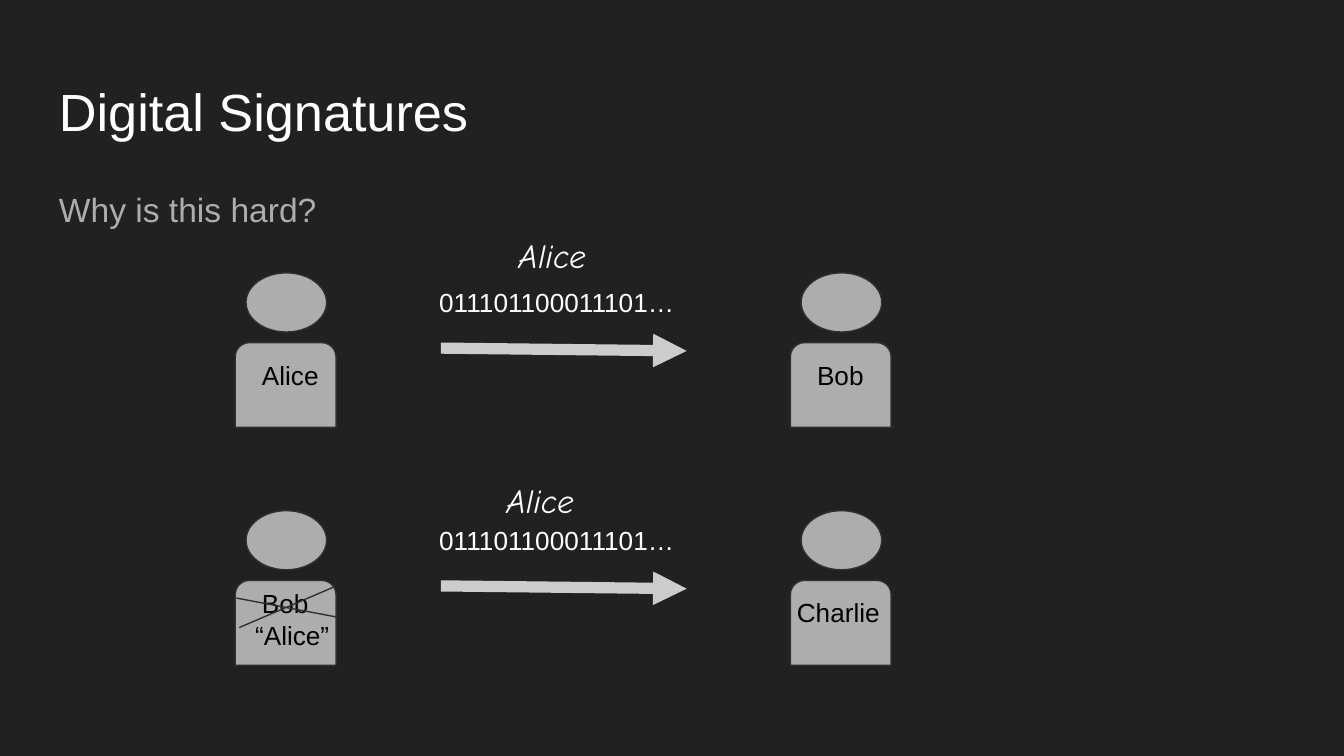
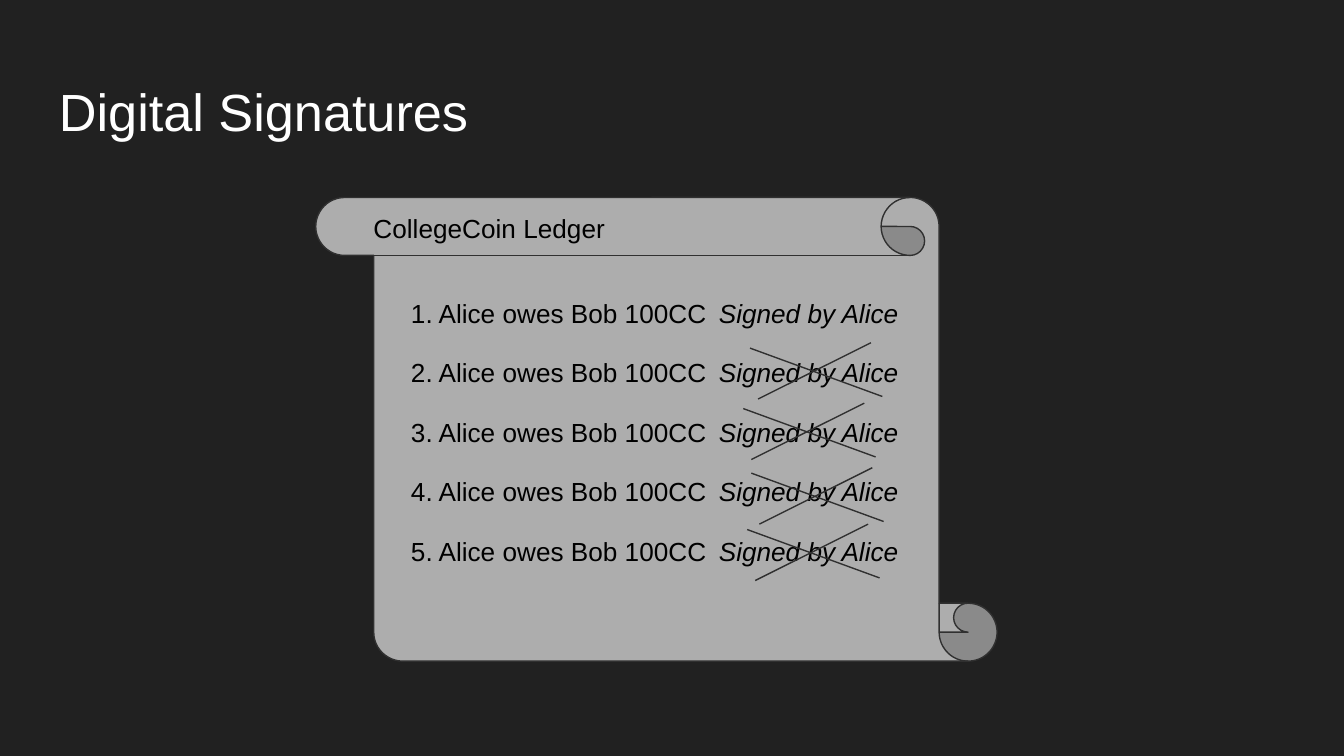
import pptx
import pptx.util
import pptx.dml.color
import pptx.enum.shapes
import pptx.oxml
import pptx.oxml.ns
import lxml.etree

Pt = pptx.util.Pt
RGBColor = pptx.dml.color.RGBColor
MSO = pptx.enum.shapes.MSO_SHAPE
qn = pptx.oxml.ns.qn

BACK = RGBColor(0x21, 0x21, 0x21)
WHITE = RGBColor(0xFF, 0xFF, 0xFF)
BLACK = RGBColor(0, 0, 0)
GREY = RGBColor(0xAD, 0xAD, 0xAD)
DARK = RGBColor(0x30, 0x30, 0x30)
ARROW = RGBColor(0xCC, 0xCC, 0xCC)
FONT, HAND = "Arial", "Comic Neue"


def add_text(shapes, x, y, w, h, text, size=14, color=BLACK, font=FONT, italic=False):
    tb = shapes.add_textbox(Pt(x), Pt(y), Pt(w), Pt(h))
    tf = tb.text_frame
    tf.word_wrap = True
    tf.margin_left = tf.margin_right = tf.margin_top = tf.margin_bottom = Pt(7.2)
    tf.text = text
    p = tf.paragraphs[0]
    r = p.runs[0]
    r.font.size, r.font.name, r.font.italic = Pt(size), font, italic
    r.font.color.rgb = color
    return p


def add_shape(shapes, kind, x, y, w, h):
    sp = shapes.add_shape(kind, Pt(x), Pt(y), Pt(w), Pt(h))
    sp.shadow.inherit = False
    sp.fill.solid()
    sp.fill.fore_color.rgb = GREY
    sp.line.color.rgb = DARK
    sp.line.width = Pt(0.75)
    return sp


def add_line(shapes, x1, y1, x2, y2, color=DARK, width=0.75, arrow=False):
    c = shapes.add_connector(pptx.enum.shapes.MSO_CONNECTOR.STRAIGHT,
                             Pt(x1), Pt(y1), Pt(x2), Pt(y2))
    c.line.color.rgb = color
    c.line.width = Pt(width)
    spPr = c.element.spPr
    if arrow:
        lxml.etree.SubElement(spPr.find(qn("a:ln")), qn("a:tailEnd"), type="triangle")
    lxml.etree.SubElement(spPr, qn("a:effectLst"))


def add_cross(shapes, x, y, *strokes):
    for x1, y1, x2, y2 in strokes:
        add_line(shapes, x + x1, y + y1, x + x2, y + y2)


def add_slide(prs, title):
    s = prs.slides.add_slide(prs.slide_layouts[6])
    s.background.fill.solid()
    s.background.fill.fore_color.rgb = BACK
    add_text(s.shapes, 24.5, 35.3, 671, 45.4, title, 28, WHITE)
    return s


def add_person(shapes, x, y):
    body = add_shape(shapes, MSO.ROUND_2_SAME_RECTANGLE, x, y + 37.4, 54, 45.4)
    body.adjustments[0], body.adjustments[1] = 0.167, 0
    add_shape(shapes, MSO.OVAL, x + 5.8, y, 43.2, 31.7)


def add_exchange(s, x, y, sign_dx, sign_dy, labels):
    """Sender, signed message and receiver; labels are (dx, dy, width, text)."""
    shapes = s.shapes.add_group_shape().shapes
    add_person(shapes, x, y)
    add_line(shapes, x + 110.2, y + 40.3, x + 241.9, y + 41.8, ARROW, 6, True)
    add_person(shapes, x + 297.4, y)
    add_text(shapes, x + 102.2, y, 147.6, 28.1, "011101100011101…", color=WHITE)
    add_text(shapes, x + sign_dx, y + sign_dy, 60.5, 28.1, "Alice", 18, WHITE, HAND, True)
    for dx, dy, w, text in labels:
        add_text(shapes, x + dx, y + dy, w, 35.3, text)
    return shapes


def add_ledger(s, x, y, w, h):
    scroll = add_shape(s.shapes, MSO.VERTICAL_SCROLL, x, y, w, h)
    scroll.adjustments[0] = 0.125
    scroll.element.spPr.find(qn("a:xfrm")).set("flipH", "1")
    # Entries
    for i in range(5):
        top = y + 46.1 + i * 31.9
        add_text(s.shapes, x + 43.9, top, 191.5, 31.7, f"{i + 1}. Alice owes Bob 100CC")
        add_text(s.shapes, x + 208.8, top, 134, 19.4, "Signed by Alice", italic=True)
    # Rejected signatures
    for dx, dy in ((232.6, 77.8), (229, 110.2), (233.3, 144.8), (231.1, 175)):
        add_cross(s.shapes, x + dx, y + dy, (0, 2.9, 70.9, 28.8), (4.3, 30.2, 64.8, 0))
    # Heading
    add_text(s.shapes, x + 23.8, y + 0.7, 160, 29.5, "CollegeCoin Ledger")


prs = pptx.Presentation()
prs.slide_width, prs.slide_height = Pt(720), Pt(405)

# Slide 1: copying a signature
s = add_slide(prs, "Digital Signatures")
p = add_text(s.shapes, 24.5, 90.7, 671, 269.3, "Why is this hard?", 18, GREY)
p.line_spacing, p.space_after = 1.15, Pt(16)
LEFT, TOP, PITCH = 126, 146.2, 127.4
add_exchange(s, LEFT, TOP, 144.7, -27.4,
             [(7.2, 38.9, 46.8, "Alice"), (304.6, 38.9, 46.8, "Bob")])
forged = add_exchange(s, LEFT, TOP + PITCH, 138.2, -23.8,
                      [(3.6, 51.1, 60.5, "“Alice”"), (7.2, 33.8, 46.8, "Bob"),
                       (293.8, 38.9, 74.2, "Charlie")])
add_cross(forged, LEFT, TOP + PITCH, (0.7, 46.8, 54, 56.9), (2.2, 62.6, 52.6, 41))

# Slide 2: ledger
s = add_slide(prs, "Digital Signatures")
add_ledger(s, 169.2, 105.8, 365, 248.4)

prs.save("out.pptx")
